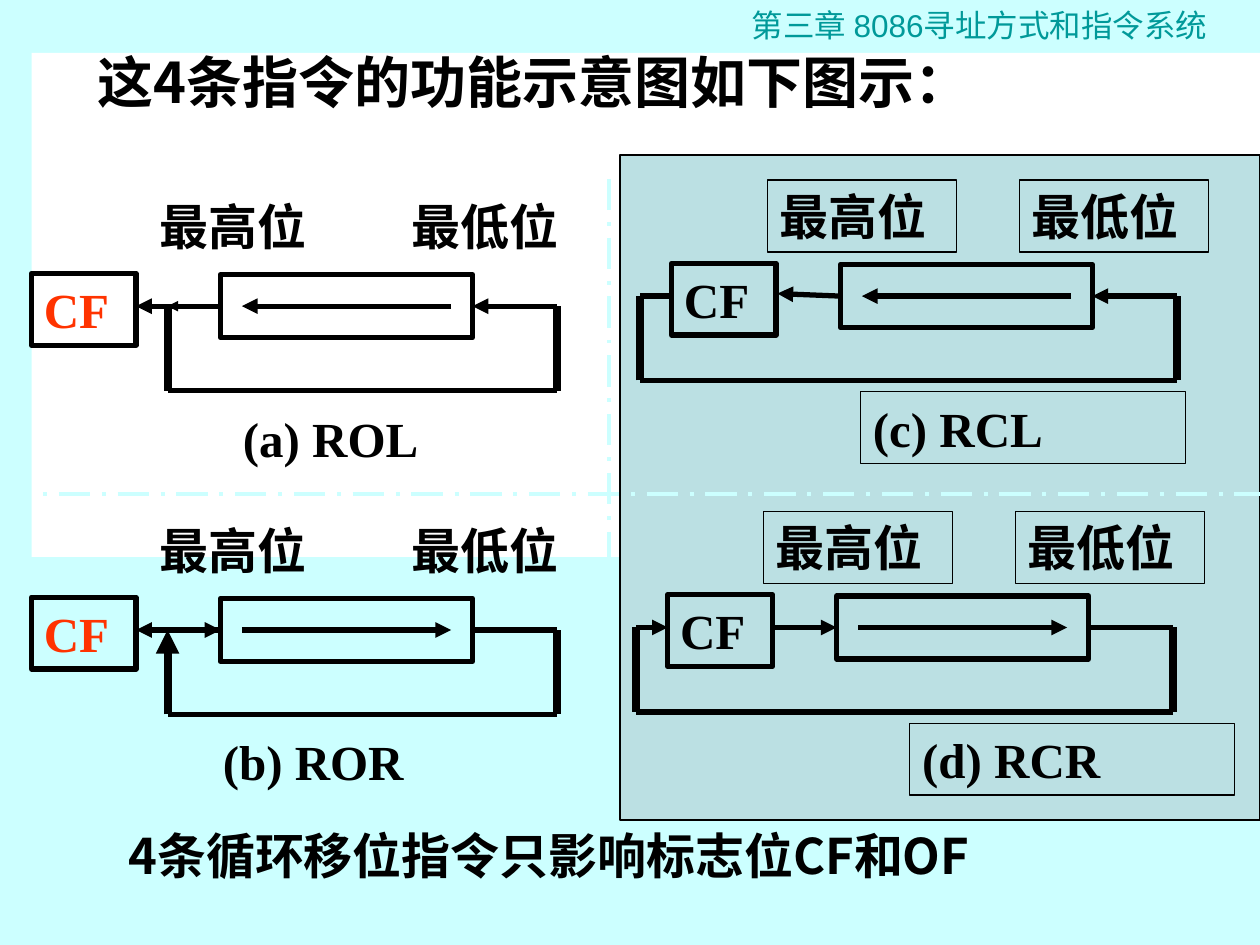
from dataclasses import dataclass

from lxml import etree
from pptx import Presentation
from pptx.dml.color import RGBColor
from pptx.enum.dml import MSO_LINE
from pptx.enum.shapes import MSO_CONNECTOR, MSO_SHAPE
from pptx.enum.text import MSO_ANCHOR, MSO_AUTO_SIZE, PP_ALIGN
from pptx.oxml.ns import qn
from pptx.util import Inches, Pt

STRAIGHT = MSO_CONNECTOR.STRAIGHT
RECTANGLE = MSO_SHAPE.RECTANGLE
DASH_DOT = MSO_LINE.LONG_DASH_DOT
LEFT = PP_ALIGN.LEFT
TOP = MSO_ANCHOR.TOP
NO_AUTOSIZE = MSO_AUTO_SIZE.NONE
GROW = MSO_AUTO_SIZE.SHAPE_TO_FIT_TEXT

BLACK = RGBColor(0, 0, 0)
WHITE = RGBColor(255, 255, 255)
RED = RGBColor(0xFF, 0x33, 0)
TEAL = RGBColor(0, 0x99, 0x99)
PALE_CYAN = RGBColor(0xCC, 0xFF, 0xFF)
PANEL_BLUE = RGBColor(0xBB, 0xE0, 0xE3)

SERIF = "Times New Roman"
SANS = "Noto Sans CJK SC"


@dataclass
class Rotation:
    caption: str
    left: float
    top: float
    caption_left: float
    to_left: bool
    through_carry: bool
    tilt: float = 0


ROTATIONS = [
    Rotation("(a) ROL", 1.75, 2.18, 1.83, True, False),
    Rotation("(c) RCL", 6.67, 2.1, 6.83, True, True, 0.02),
    Rotation("(b) ROR", 1.75, 4.75, 1.67, False, False),
    Rotation("(d) RCR", 6.64, 4.73, 7.22, False, True),
]


def add_box(shapes, left, top, width, height, fill=None, line_width=None):
    box = shapes.add_shape(
        RECTANGLE, Inches(left), Inches(top), Inches(width), Inches(height))
    box.shadow.inherit = False
    if fill is None:
        box.fill.background()
    else:
        box.fill.solid()
        box.fill.fore_color.rgb = fill
    if line_width is None:
        box.line.fill.background()
    else:
        box.line.color.rgb = BLACK
        box.line.width = Pt(line_width)
    return box


def write(box, text, size=28, font=SERIF, color=BLACK, bold=True, grow=True):
    frame = box.text_frame
    frame.word_wrap = True
    frame.vertical_anchor = TOP
    frame.auto_size = GROW if grow else NO_AUTOSIZE
    frame.text = text
    para = frame.paragraphs[0]
    para.alignment = LEFT
    para.font.size = Pt(size)
    para.font.name = font
    para.font.bold = bold
    para.font.color.rgb = color


def add_label(shapes, text, left, top, width, height=0.57, line_width=None, **style):
    if line_width is None:
        box = shapes.add_textbox(
            Inches(left), Inches(top), Inches(width), Inches(height))
    else:
        box = add_box(shapes, left, top, width, height, line_width=line_width)
    write(box, text, **style)


def add_line(shapes, start, end, width=3, arrow=False, color=BLACK, dash=None):
    line = shapes.add_connector(
        STRAIGHT, *(Inches(value) for value in (*start, *end)))
    line.line.color.rgb = color
    line.line.width = Pt(width)
    if dash is not None:
        line.line.dash_style = dash
    if arrow:
        outline = line.line._get_or_add_ln()
        etree.SubElement(outline, qn("a:tailEnd"), type="triangle")
    etree.SubElement(line._element.spPr, qn("a:effectLst"))


def draw_rotation(page, rotation):
    shapes = page.shapes.add_group_shape().shapes
    left, top = rotation.left, rotation.top
    carry = rotation.through_carry
    middle, bottom = top + 0.25, top + 0.92
    loop_left = left - (1.59 if carry else 0.42)
    loop_right = left + 2.67
    carry_left = left - (1.34 if carry else 1.5)
    carry_right = left - (0.5 if carry else 0.67)
    label_line = 0.75 if carry else None

    def flow(right, left_end, width=3, tilt=0):
        start, end = (right, middle), (left_end, middle - tilt)
        if not rotation.to_left:
            start, end = end, start
        add_line(shapes, start, end, width, arrow=True)

    add_box(shapes, left, top, 2, 0.5, line_width=3)
    flow(left + 1.83, left + 0.17)
    for text, offset in (("最低位", 1.42), ("最高位", -0.58)):
        add_label(shapes, text, left + offset, top - 0.67, 1.5,
                  line_width=label_line)
    add_label(shapes, "CF", carry_left, top - 0.01, 0.83, line_width=3,
              color=BLACK if carry else RED)
    add_label(shapes, rotation.caption, rotation.caption_left, top + 1.01, 2.58,
              line_width=label_line)

    if carry:
        flow(left, carry_right, tilt=rotation.tilt)
        add_line(shapes, (loop_left, middle), (carry_left, middle),
                 arrow=not rotation.to_left)
    else:
        flow(left, loop_left, width=2 if rotation.to_left else 3)
        add_line(shapes, (left, middle), (carry_right, middle), arrow=True)

    add_line(shapes, (loop_right, middle), (left + 2, middle),
             arrow=rotation.to_left)
    add_line(shapes, (loop_left, bottom), (loop_left, middle), 4.5,
             arrow=not (rotation.to_left or carry))
    add_line(shapes, (loop_right, middle), (loop_right, bottom), 4.5)
    add_line(shapes, (loop_right, bottom), (loop_left, bottom))


def place_title(page, text, panel):
    title = page.shapes.title
    title.left, title.top = Inches(0.67), Inches(0.33)
    title.width, title.height = Inches(7.96), Inches(0.83)
    write(title, text, size=32, font=SANS, grow=False)
    panel._element.addnext(title._element)


def main():
    deck = Presentation()
    deck.slide_width, deck.slide_height = Inches(10), Inches(7.5)
    page = deck.slides.add_slide(deck.slide_layouts[5])
    page.background.fill.solid()
    page.background.fill.fore_color.rgb = PALE_CYAN

    add_label(page.shapes, "第三章 8086寻址方式和指令系统", 5.87, 0, 3.94, 0.4,
              size=18, font="Arial", color=TEAL, bold=False)
    add_box(page.shapes, 0.25, 0.42, 9.75, 4, fill=WHITE)
    panel = add_box(page.shapes, 4.92, 1.23, 5.08, 5.28, PANEL_BLUE, 1)
    place_title(page, "这4条指令的功能示意图如下图示：", panel)

    for rotation in ROTATIONS:
        draw_rotation(page, rotation)
    for start, end in (((0, 3.92), (10, 3.92)), ((4.83, 1.42), (4.83, 6.42))):
        add_line(page.shapes, start, end, 2.25, color=PALE_CYAN, dash=DASH_DOT)
    add_label(page.shapes, "4条循环移位指令只影响标志位CF和OF", 0.92, 6.5, 7.75,
              font=SANS)
    deck.save("out.pptx")


if __name__ == "__main__":
    main()
